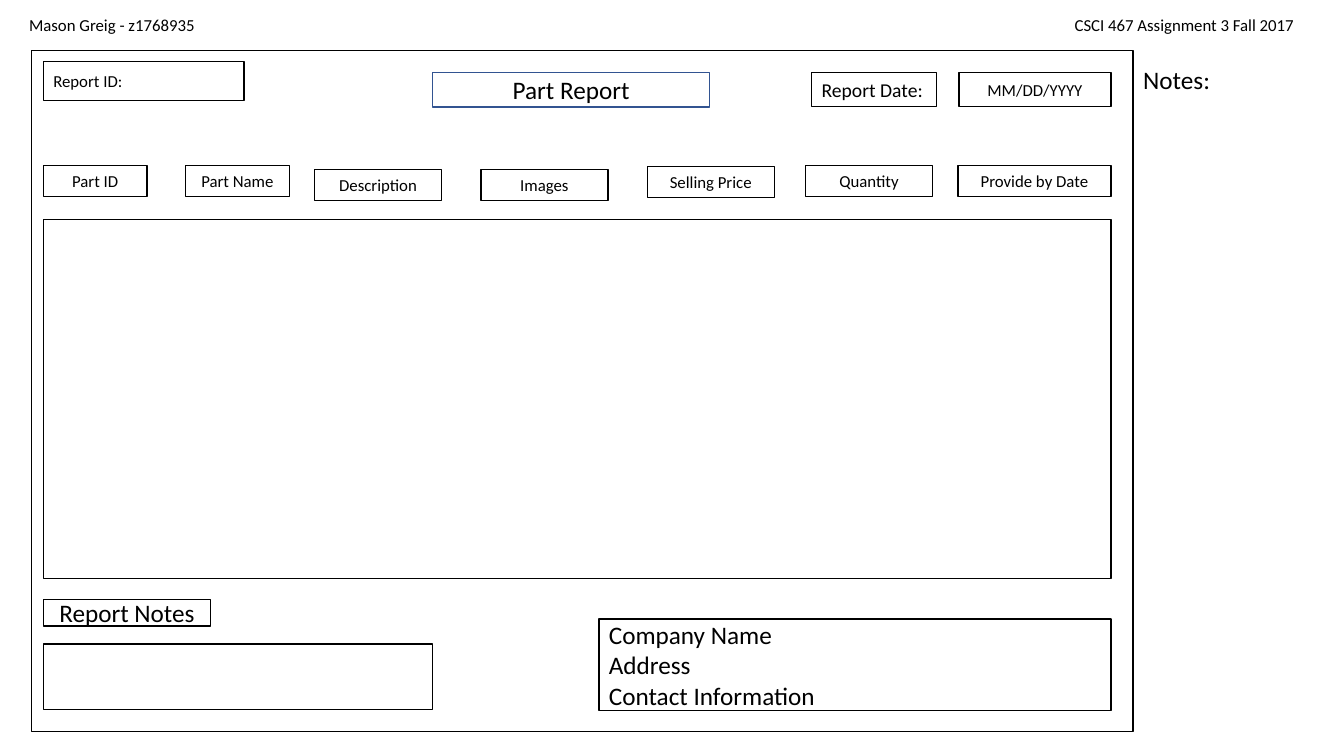
import pptx
import pptx.util
import pptx.dml.color
import pptx.enum.shapes
import pptx.enum.text
from dataclasses import dataclass

Inches = pptx.util.Inches
Align = pptx.enum.text.PP_ALIGN
Anchor = pptx.enum.text.MSO_ANCHOR


@dataclass(frozen=True)
class Theme:
    font: str = "Calibri"
    ink: str = "000000"
    paper: str = "FFFFFF"
    accent: str = "325491"
    small: int = 12
    medium: int = 14
    large: int = 18
    rule: int = 1


class Form:
    def __init__(self, slide, theme):
        self.slide = slide
        self.theme = theme

    def color(self, code):
        return pptx.dml.color.RGBColor.from_string(code)

    def letter(self, shape, text, size, align, anchor):
        frame = shape.text_frame
        frame.text = text
        frame.word_wrap = True
        frame.auto_size = pptx.enum.text.MSO_AUTO_SIZE.NONE
        frame.vertical_anchor = anchor
        for para in frame.paragraphs:
            para.alignment = align
            para.font.name = self.theme.font
            para.font.size = pptx.util.Pt(size)
            para.font.color.rgb = self.color(self.theme.ink)

    def paint(self, shape, line):
        shape.fill.solid()
        shape.fill.fore_color.rgb = self.color(self.theme.paper)
        shape.line.color.rgb = self.color(line)
        shape.line.width = pptx.util.Pt(self.theme.rule)

    def label(self, area, text, size):
        box = self.slide.shapes.add_textbox(*map(Inches, area))
        self.letter(box, text, size, Align.LEFT, Anchor.TOP)

    def box(self, area, text="", size=None, align=Align.CENTER):
        kind = pptx.enum.shapes.MSO_SHAPE.RECTANGLE
        shape = self.slide.shapes.add_shape(kind, *map(Inches, area))
        shape.shadow.inherit = False
        self.paint(shape, self.theme.ink)
        if text:
            self.letter(shape, text, size or self.theme.small, align, Anchor.MIDDLE)
        return shape

    def title(self, area, text, below):
        shape = self.slide.shapes.title
        shape.left, shape.top, shape.width, shape.height = map(Inches, area)
        self.paint(shape, self.theme.accent)
        self.letter(shape, text, self.theme.large, Align.CENTER, Anchor.MIDDLE)
        # Stack the title just above the page frame
        below.element.addnext(shape.element)


def main():
    deck = pptx.Presentation()
    deck.slide_width, deck.slide_height = Inches(13.33), Inches(7.5)
    theme = Theme()
    form = Form(deck.slides.add_slide(deck.slide_layouts[5]), theme)

    # Page heading and side notes
    form.label((0.19, 0.1, 1.94, 0.3), "Mason Greig - z1768935", theme.small)
    form.label((10.56, 0.1, 2.54, 0.3), "CSCI 467 Assignment 3 Fall 2017", theme.small)
    form.label((11.24, 0.59, 0.91, 0.4), "Notes:", theme.large)

    # Report frame and top row
    page = form.box((0.31, 0.5, 10.93, 6.76))
    form.title((4.29, 0.72, 2.75, 0.34), "Part Report", page)
    form.box((0.43, 0.61, 1.99, 0.39), "Report ID:", align=Align.LEFT)
    form.box((8.05, 0.72, 1.24, 0.34), "Report Date:", theme.medium, Align.LEFT)
    form.box((9.51, 0.72, 1.51, 0.34), "MM/DD/YYYY")

    # Column heads: text, left, top, width
    heads = [
        ("Part ID", 0.43, 1.64, 1.03),
        ("Part Name", 1.84, 1.64, 1.03),
        ("Description", 3.12, 1.68, 1.26),
        ("Images", 4.77, 1.68, 1.26),
        ("Selling Price", 6.42, 1.65, 1.26),
        ("Quantity", 7.99, 1.64, 1.26),
        ("Provide by Date", 9.5, 1.64, 1.52),
    ]
    for text, left, top, width in heads:
        form.box((left, top, width, 0.31), text)

    # Report body
    form.box((0.43, 2.18, 10.59, 3.56))

    # Report notes and company details
    form.box((0.43, 5.95, 1.66, 0.26), "Report Notes", theme.large)
    form.box((0.43, 6.39, 3.86, 0.65))
    firm = "\n".join(["Company Name", "Address", "Contact Information"])
    form.box((5.94, 6.14, 5.08, 0.91), firm, theme.large, Align.LEFT)

    deck.save("out.pptx")


if __name__ == "__main__":
    main()
